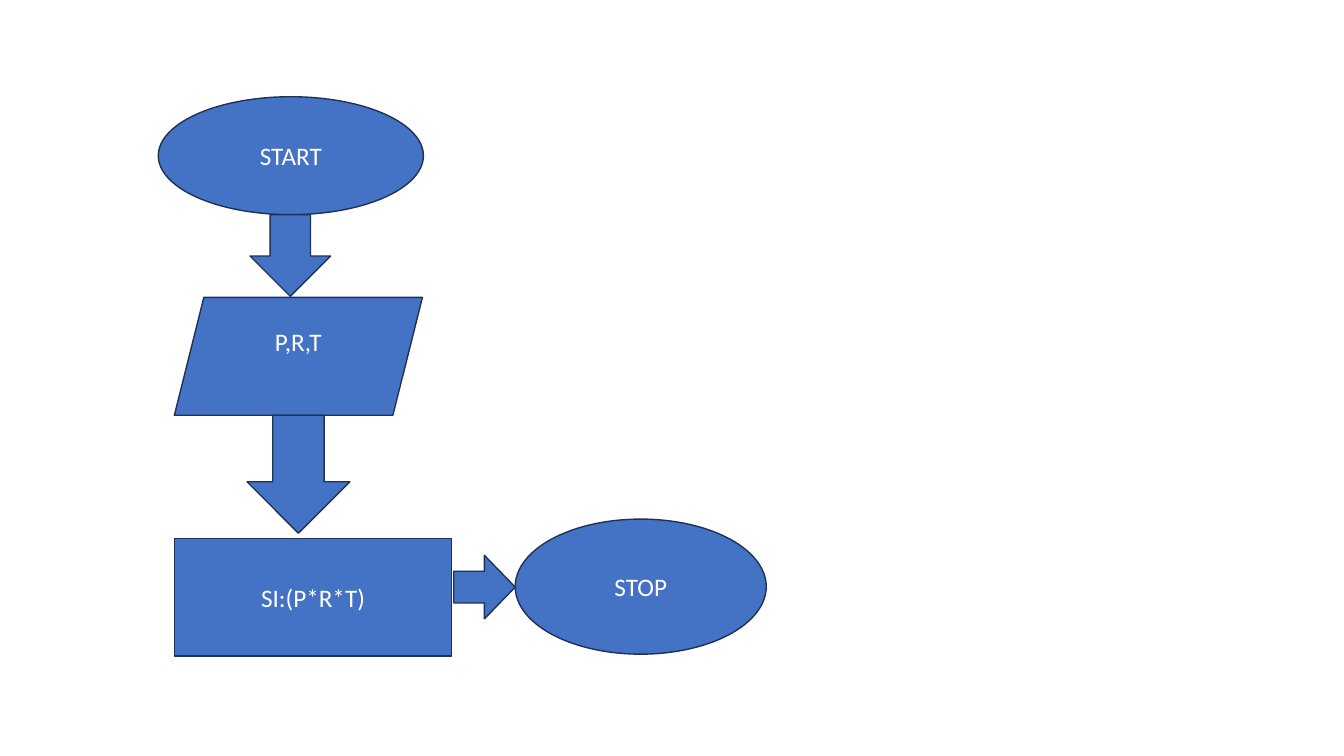
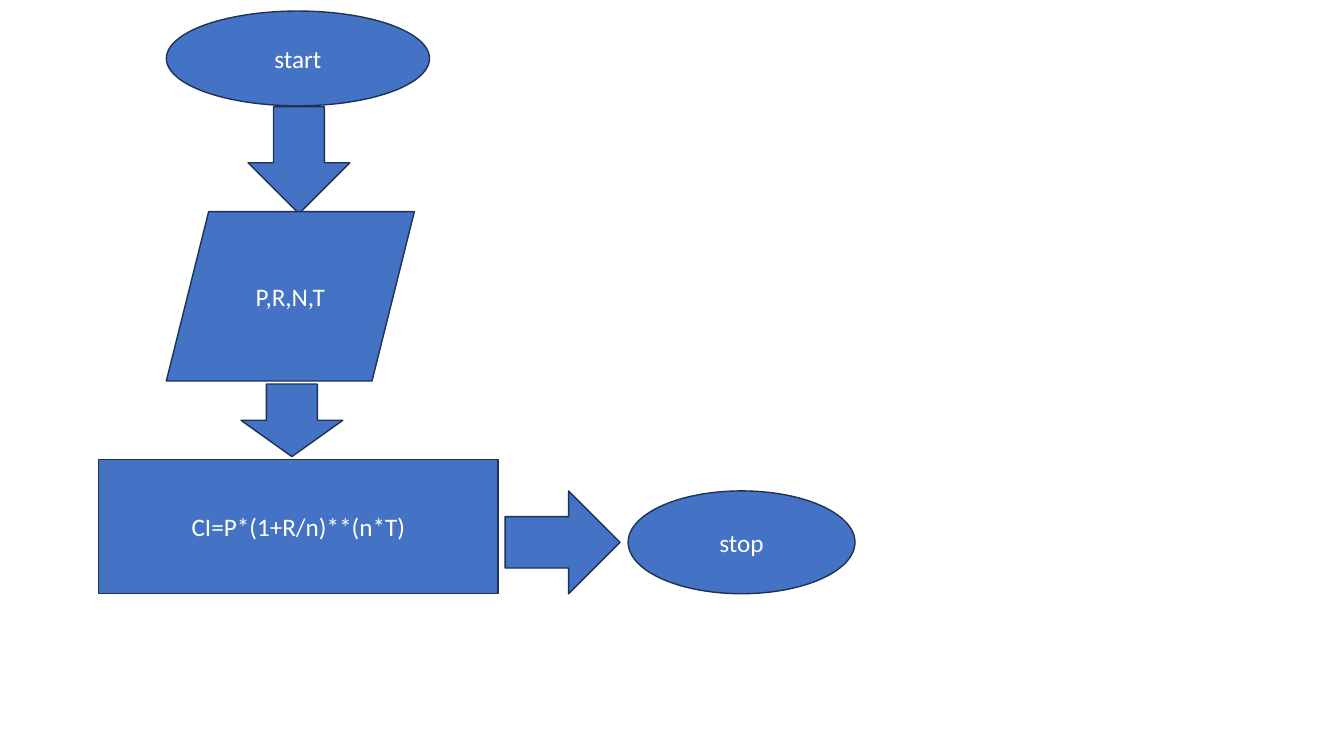
"""Build two flowcharts, for simple interest and for compound interest."""
from dataclasses import dataclass

from pptx import Presentation
from pptx import util as u
from pptx.dml.color import RGBColor
from pptx.enum import shapes, text
from pptx.slide import Slide

PX = u.Inches(1) // 100
COLOURS = {"fill": "4472C4", "outline": "1E3256", "label": "FFFFFF"}
FONT_FORMAT = {"name": "Calibri", "size": u.Pt(18)}
FRAME_FORMAT = {"word_wrap": True, "vertical_anchor": text.MSO_ANCHOR.MIDDLE}

TERMINAL = shapes.MSO_SHAPE.OVAL
DATA = shapes.MSO_SHAPE.PARALLELOGRAM
PROCESS = shapes.MSO_SHAPE.RECTANGLE
DOWN = shapes.MSO_SHAPE.DOWN_ARROW
RIGHT = shapes.MSO_SHAPE.RIGHT_ARROW


@dataclass(frozen=True)
class Step:
    kind: shapes.MSO_SHAPE
    left: int
    top: int
    width: int
    height: int
    label: str = ""
    bottom_inset: int = 5


SIMPLE_INTEREST = (
    Step(TERMINAL, 157, 96, 263, 117, "START"),
    Step(DOWN, 248, 213, 80, 81),
    Step(DATA, 173, 295, 246, 117, "P,R,T", bottom_inset=35),
    Step(DOWN, 245, 412, 102, 117),
    Step(PROCESS, 173, 534, 275, 117, "SI:(P*R*T)"),
    Step(RIGHT, 450, 551, 61, 63),
    Step(TERMINAL, 511, 515, 249, 134, "STOP"),
)
COMPOUND_INTEREST = (
    Step(TERMINAL, 165, 11, 261, 94, "start"),
    Step(DOWN, 246, 106, 101, 106),
    Step(DATA, 165, 210, 246, 168, "P,R,N,T"),
    Step(DOWN, 239, 381, 101, 72),
    Step(PROCESS, 98, 456, 396, 133, "CI=P*(1+R/n)**(n*T)"),
    Step(RIGHT, 501, 487, 114, 102),
    Step(TERMINAL, 623, 487, 225, 102, "stop"),
)


def set_attributes(target: object, values: dict) -> None:
    for name, value in values.items():
        setattr(target, name, value)


def colour(name: str) -> RGBColor:
    return RGBColor.from_string(COLOURS[name])


def draw_step(slide: Slide, step: Step) -> None:
    box = (step.left, step.top, step.width, step.height)
    shape = slide.shapes.add_shape(step.kind, *(length * PX for length in box))
    shape.shadow.inherit = False
    shape.fill.solid()
    shape.fill.fore_color.rgb = colour("fill")
    shape.line.color.rgb = colour("outline")
    shape.line.width = u.Pt(1)
    if step.label:
        frame = shape.text_frame
        set_attributes(frame, FRAME_FORMAT | {"margin_bottom": step.bottom_inset * PX})
        paragraph = frame.paragraphs[0]
        paragraph.alignment = text.PP_ALIGN.CENTER
        run = paragraph.add_run()
        run.text = step.label
        set_attributes(run.font, FONT_FORMAT)
        run.font.color.rgb = colour("label")


def main() -> None:
    presentation = Presentation()
    set_attributes(presentation, {"slide_width": 1333 * PX, "slide_height": 750 * PX})
    for flowchart in (SIMPLE_INTEREST, COMPOUND_INTEREST):
        slide = presentation.slides.add_slide(presentation.slide_layouts[6])
        for step in flowchart:
            draw_step(slide, step)
    presentation.save("out.pptx")


if __name__ == "__main__":
    main()
